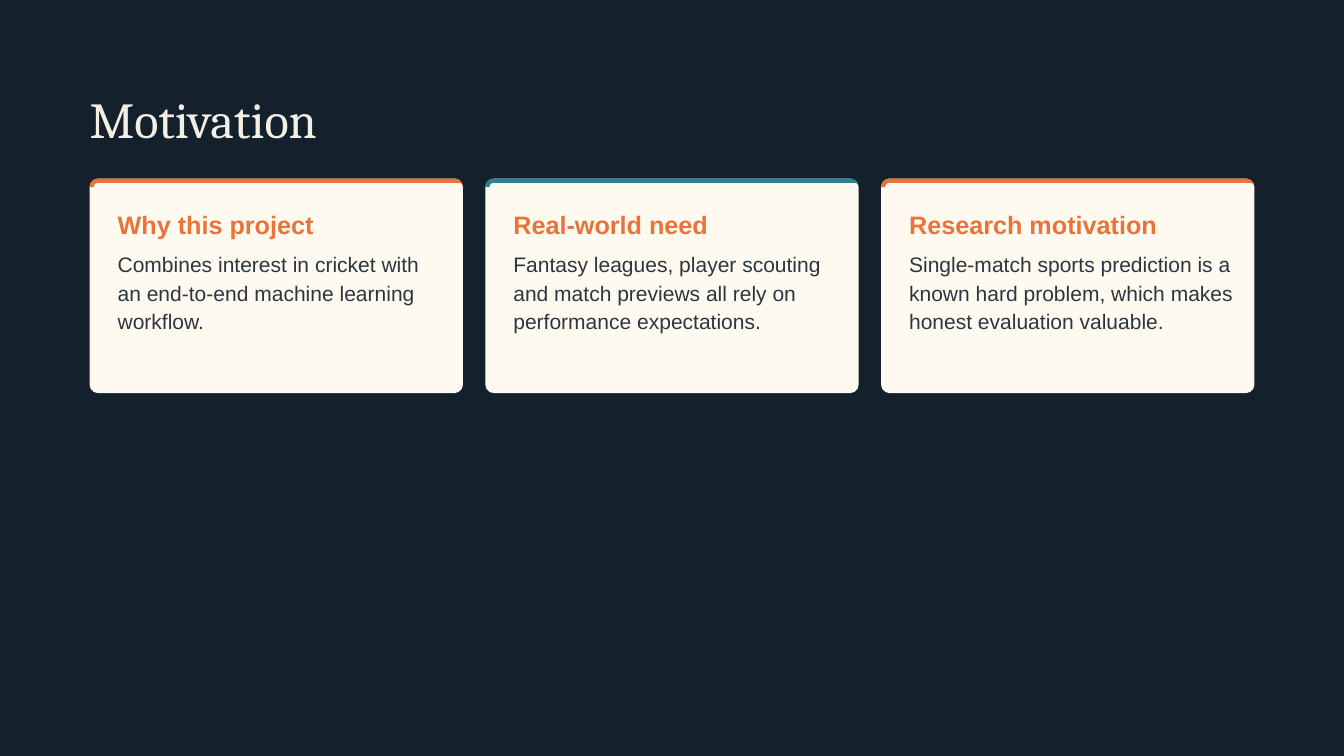
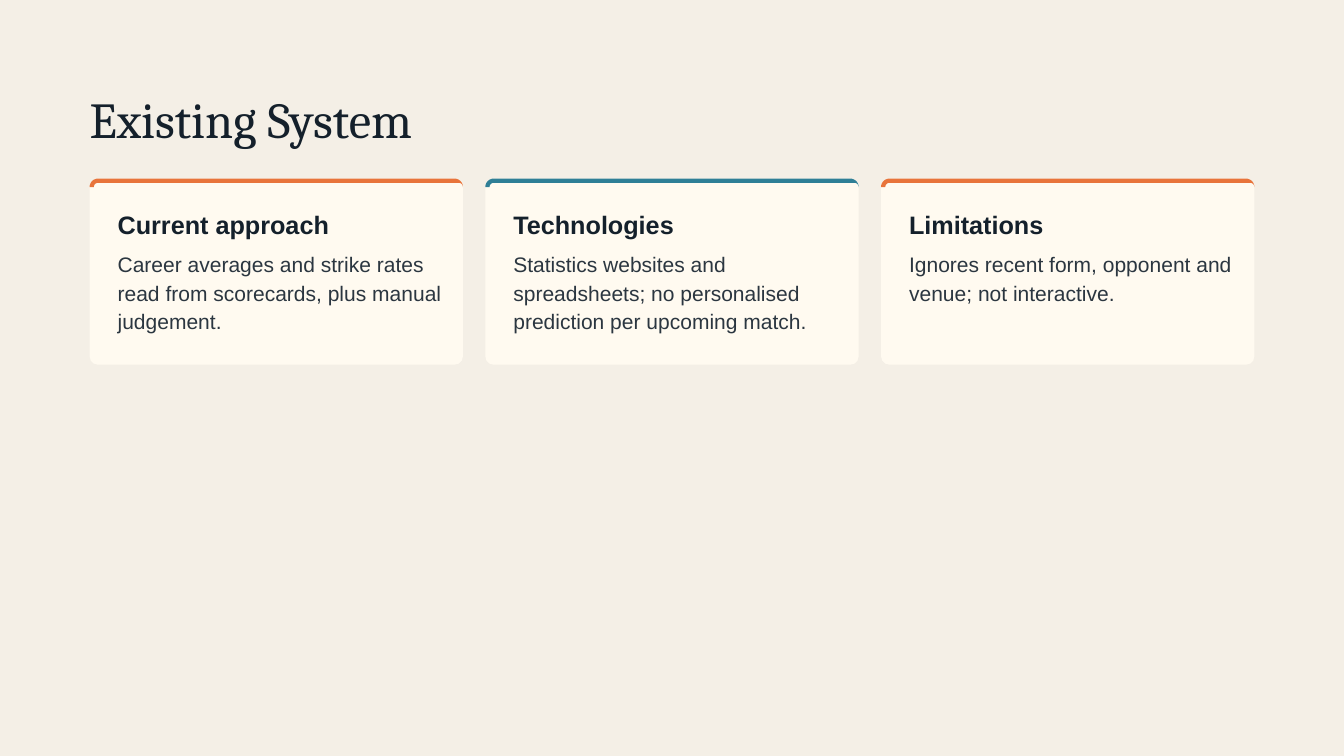
from dataclasses import dataclass
from math import cos, radians, sin

from pptx import Presentation
from pptx.dml.color import RGBColor
from pptx.enum.shapes import MSO_SHAPE
from pptx.enum.text import MSO_AUTO_SIZE
from pptx.util import Pt

ROUNDED = MSO_SHAPE.ROUNDED_RECTANGLE
GROW = MSO_AUTO_SIZE.SHAPE_TO_FIT_TEXT


@dataclass(frozen=True)
class TextStyle:
    font: str
    size: float
    leading: float
    bold: bool = False


@dataclass(frozen=True)
class Theme:
    navy: str = "14202B"
    sand: str = "F4EFE6"
    card: str = "FFFAF0"
    ink: str = "2B3640"
    orange: str = "E8743B"
    teal: str = "2F7F96"
    title: TextStyle = TextStyle("Cambria", 54, 59.4)
    heading: TextStyle = TextStyle("Arial", 27, 32.4, True)
    body: TextStyle = TextStyle("Arial", 22.5, 30.4)


THEME = Theme()
PAGE_WIDTH, PAGE_HEIGHT = 1440, 810
MARGIN = 96
CARD_TOP, CARD_WIDTH, CARD_GAP = 191.4, 400, 24
CARD_RADIUS, BAND_HEIGHT = 9, 4.5
CARD_PADDING, HEADING_OFFSET, BODY_OFFSET, BOTTOM_PADDING = 30, 32.4, 75, 26.4
TEXT_WIDTH = 350
BAND_COLOURS = (THEME.orange, THEME.teal, THEME.orange)


def paint(shape, colour):
    shape.fill.solid()
    shape.fill.fore_color.rgb = RGBColor.from_string(colour)
    shape.line.fill.background()
    shape.shadow.inherit = False


def add_text(page, text, left, top, width, height, style, colour):
    box = page.shapes.add_textbox(Pt(left), Pt(top), Pt(width), Pt(height))
    frame = box.text_frame
    frame.word_wrap = True
    frame.auto_size = GROW
    frame.margin_left = frame.margin_right = 0
    frame.margin_top = frame.margin_bottom = 0
    paragraph = frame.paragraphs[0]
    paragraph.text = text
    paragraph.line_spacing = Pt(style.leading)
    font = paragraph.font
    font.name, font.size, font.bold = style.font, Pt(style.size), style.bold
    font.color.rgb = RGBColor.from_string(colour)


def arc(centre_x, centre_y, radius, start, end):
    step = 10 if end > start else -10
    return [
        (centre_x + radius * cos(radians(angle)), centre_y + radius * sin(radians(angle)))
        for angle in range(start, end + step, step)
    ]


def add_band(page, left, top, colour):
    right = left + CARD_WIDTH
    middle = top + CARD_RADIUS
    inner = CARD_RADIUS - BAND_HEIGHT
    outline = (
        arc(left + CARD_RADIUS, middle, CARD_RADIUS, 180, 270)
        + arc(right - CARD_RADIUS, middle, CARD_RADIUS, 270, 360)
        + arc(right - inner, middle, inner, 360, 270)
        + arc(left + CARD_RADIUS, middle, inner, 270, 180)
    )
    points = [(Pt(x), Pt(y)) for x, y in outline]
    builder = page.shapes.build_freeform(*points[0])
    builder.add_line_segments(points[1:], close=True)
    paint(builder.convert_to_shape(), colour)


def body_height(lines):
    return lines * THEME.body.leading + 6.8


def add_card(page, left, top, height, content, heading_colour, band_colour):
    heading, body, lines = content
    card = page.shapes.add_shape(ROUNDED, Pt(left), Pt(top), Pt(CARD_WIDTH), Pt(height))
    card.adjustments[0] = CARD_RADIUS / height
    paint(card, THEME.card)
    add_band(page, left, top, band_colour)
    text_left = left + CARD_PADDING
    add_text(page, heading, text_left, top + HEADING_OFFSET, TEXT_WIDTH, 36.7,
             THEME.heading, heading_colour)
    add_text(page, body, text_left, top + BODY_OFFSET, TEXT_WIDTH, body_height(lines),
             THEME.body, THEME.ink)


def add_card_page(deck, title, background, title_colour, heading_colour, cards, card_lines):
    page = deck.slides.add_slide(deck.slide_layouts[6])
    page.background.fill.solid()
    page.background.fill.fore_color.rgb = RGBColor.from_string(background)
    add_text(page, title, MARGIN, 99.4, 1285, 59, THEME.title, title_colour)
    height = BODY_OFFSET + body_height(card_lines) + BOTTOM_PADDING
    for index, (content, band_colour) in enumerate(zip(cards, BAND_COLOURS)):
        left = MARGIN + index * (CARD_WIDTH + CARD_GAP)
        add_card(page, left, CARD_TOP, height, content, heading_colour, band_colour)


def main():
    deck = Presentation()
    deck.slide_width, deck.slide_height = Pt(PAGE_WIDTH), Pt(PAGE_HEIGHT)
    motivation = (
        ("Why this project",
         "Combines interest in cricket with an end-to-end machine learning workflow.", 3),
        ("Real-world need",
         "Fantasy leagues, player scouting and match previews all rely on "
         "performance expectations.", 3),
        ("Research motivation",
         "Single-match sports prediction is a known hard problem, which makes "
         "honest evaluation valuable.", 4),
    )
    existing_system = (
        ("Current approach",
         "Career averages and strike rates read from scorecards, plus manual judgement.", 3),
        ("Technologies",
         "Statistics websites and spreadsheets; no personalised prediction per "
         "upcoming match.", 3),
        ("Limitations",
         "Ignores recent form, opponent and venue; not interactive.", 2),
    )
    add_card_page(deck, "Motivation", THEME.navy, THEME.sand, THEME.orange, motivation, 4)
    add_card_page(deck, "Existing System", THEME.sand, THEME.navy, THEME.navy,
                  existing_system, 3)
    deck.save("out.pptx")


if __name__ == "__main__":
    main()
